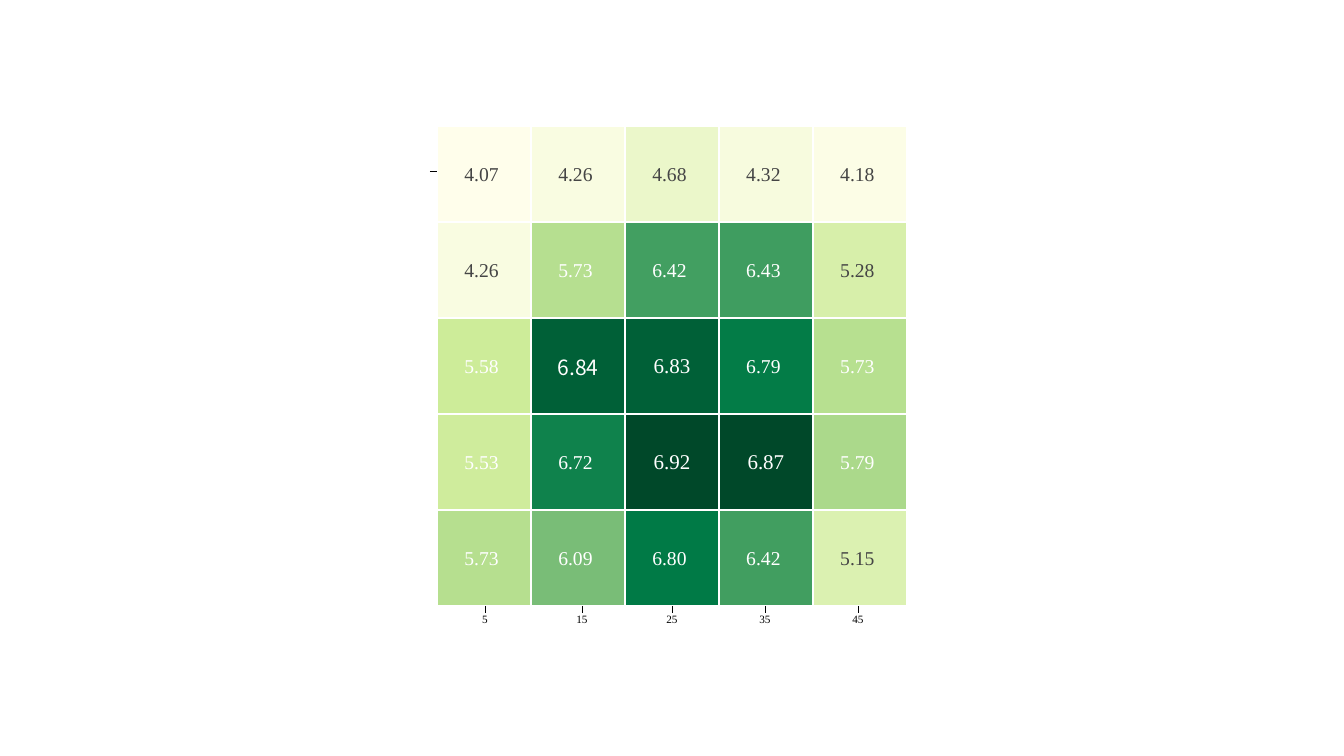
from typing import NamedTuple

from lxml import etree
from pptx import Presentation
from pptx.dml.color import RGBColor
from pptx.enum.shapes import MSO_CONNECTOR
from pptx.enum.text import MSO_ANCHOR, PP_ALIGN
from pptx.oxml.ns import qn
from pptx.util import Emu, Pt

STRAIGHT = MSO_CONNECTOR.STRAIGHT
MIDDLE = MSO_ANCHOR.MIDDLE
CENTER = PP_ALIGN.CENTER

WHITE = RGBColor(0xFF, 0xFF, 0xFF)
BLACK = RGBColor(0x00, 0x00, 0x00)
DARK_GRAY = RGBColor(0x45, 0x45, 0x45)
SERIF = "Times New Roman"
SANS = "Noto Sans CJK SC"

PIXELS_PER_INCH = 100.8
TABLE_LEFT, TABLE_TOP = 437, 126
COLUMN_WIDTH, ROW_HEIGHT = 94, 96
TABLE_BOTTOM = 606
TICK_LENGTH = 7
LABEL_HEIGHT = 24
WHITE_TEXT_FROM = 5.5
LARGE_TEXT_ABOVE = 6.8


class HeatCell(NamedTuple):
    value: float
    fill: RGBColor
    font: str = SERIF


class AxisTick(NamedTuple):
    label: str
    x: int
    label_width: int = 40


def heat(value: float, fill: str, font: str = SERIF) -> HeatCell:
    return HeatCell(value, RGBColor.from_string(fill), font)


HEATMAP = [
    [heat(4.07, "FFFEEB"), heat(4.26, "F9FCE1"), heat(4.68, "EBF7CA"),
     heat(4.32, "F7FBDE"), heat(4.18, "FCFDE6")],
    [heat(4.26, "F9FCE1"), heat(5.73, "B6DF90"), heat(6.42, "429F61"),
     heat(6.43, "3F9D60"), heat(5.28, "D7EFAA")],
    [heat(5.58, "CDEC99"), heat(6.84, "006037", SANS), heat(6.83, "006037"),
     heat(6.79, "037C47"), heat(5.73, "B7E090")],
    [heat(5.53, "CFEC9C"), heat(6.72, "0F824C"), heat(6.92, "004829"),
     heat(6.87, "004829"), heat(5.79, "ABD98B")],
    [heat(5.73, "B6DF8F"), heat(6.09, "79BD77"), heat(6.80, "007A46"),
     heat(6.42, "419E60"), heat(5.15, "DBF1B1")],
]

AXIS_TICKS = [
    AxisTick("5", 485, 16),
    AxisTick("15", 582),
    AxisTick("25", 672),
    AxisTick("35", 765),
    AxisTick("45", 858),
]


def px(pixels: float) -> Emu:
    return Emu(round(pixels * 914400 / PIXELS_PER_INCH))


def write_text(text_frame, text: str, *, size: float, color: RGBColor, font: str = SERIF) -> None:
    paragraph = text_frame.paragraphs[0]
    paragraph.alignment = CENTER
    run = paragraph.add_run()
    run.text = text
    run.font.size = Pt(size)
    run.font.name = font
    run.font.color.rgb = color
    for tag in ("a:ea", "a:cs"):
        etree.SubElement(run.font._element, qn(tag), typeface=font)


def add_cell_borders(cell, color: RGBColor, width: float) -> None:
    properties = cell._tc.get_or_add_tcPr()
    for side in ("L", "R", "T", "B"):
        border = etree.SubElement(properties, qn(f"a:ln{side}"), w=str(Pt(width)))
        solid = etree.SubElement(border, qn("a:solidFill"))
        etree.SubElement(solid, qn("a:srgbClr"), val=str(color))


def draw_heat_cell(cell, heat_cell: HeatCell) -> None:
    is_large = heat_cell.value > LARGE_TEXT_ABOVE
    cell.margin_left = cell.margin_top = px(1)
    cell.margin_right = px(1 if is_large else 6)
    cell.margin_bottom = 0
    cell.vertical_anchor = MIDDLE
    add_cell_borders(cell, WHITE, 1.5)
    cell.fill.solid()
    cell.fill.fore_color.rgb = heat_cell.fill
    write_text(
        cell.text_frame,
        f"{heat_cell.value:.2f}",
        size=15 if is_large else 14,
        color=WHITE if heat_cell.value >= WHITE_TEXT_FROM else DARK_GRAY,
        font=heat_cell.font,
    )


def draw_heatmap(slide) -> None:
    row_count, column_count = len(HEATMAP), len(HEATMAP[0])
    table = slide.shapes.add_table(
        row_count, column_count, px(TABLE_LEFT), px(TABLE_TOP),
        px(column_count * COLUMN_WIDTH), px(row_count * ROW_HEIGHT),
    ).table
    table.first_row = table.horz_banding = False
    for column in table.columns:
        column.width = px(COLUMN_WIDTH)
    for row, heat_row in zip(table.rows, HEATMAP):
        row.height = px(ROW_HEIGHT)
        for cell, heat_cell in zip(row.cells, heat_row):
            draw_heat_cell(cell, heat_cell)


def draw_line(shapes, x1: int, y1: int, x2: int, y2: int) -> None:
    connector = shapes.add_connector(STRAIGHT, px(x1), px(y1), px(x2), px(y2))
    connector.line.color.rgb = BLACK
    connector.line.width = Pt(0.5)
    etree.SubElement(connector._element.spPr, qn("a:effectLst"))


def draw_axis_tick(slide, tick: AxisTick) -> None:
    group = slide.shapes.add_group_shape()
    draw_line(group.shapes, tick.x, TABLE_BOTTOM, tick.x, TABLE_BOTTOM + TICK_LENGTH)
    label = group.shapes.add_textbox(
        px(tick.x - tick.label_width / 2), px(TABLE_BOTTOM + 1),
        px(tick.label_width), px(LABEL_HEIGHT),
    )
    label.text_frame.word_wrap = True
    label.text_frame.margin_left = label.text_frame.margin_right = 0
    write_text(label.text_frame, tick.label, size=8, color=BLACK)


presentation = Presentation()
presentation.slide_width = px(1344)
presentation.slide_height = px(756)
slide = presentation.slides.add_slide(presentation.slide_layouts[6])

draw_heatmap(slide)
for axis_tick in AXIS_TICKS:
    draw_axis_tick(slide, axis_tick)
draw_line(slide.shapes, TABLE_LEFT - TICK_LENGTH, 171, TABLE_LEFT, 171)

presentation.save("out.pptx")
